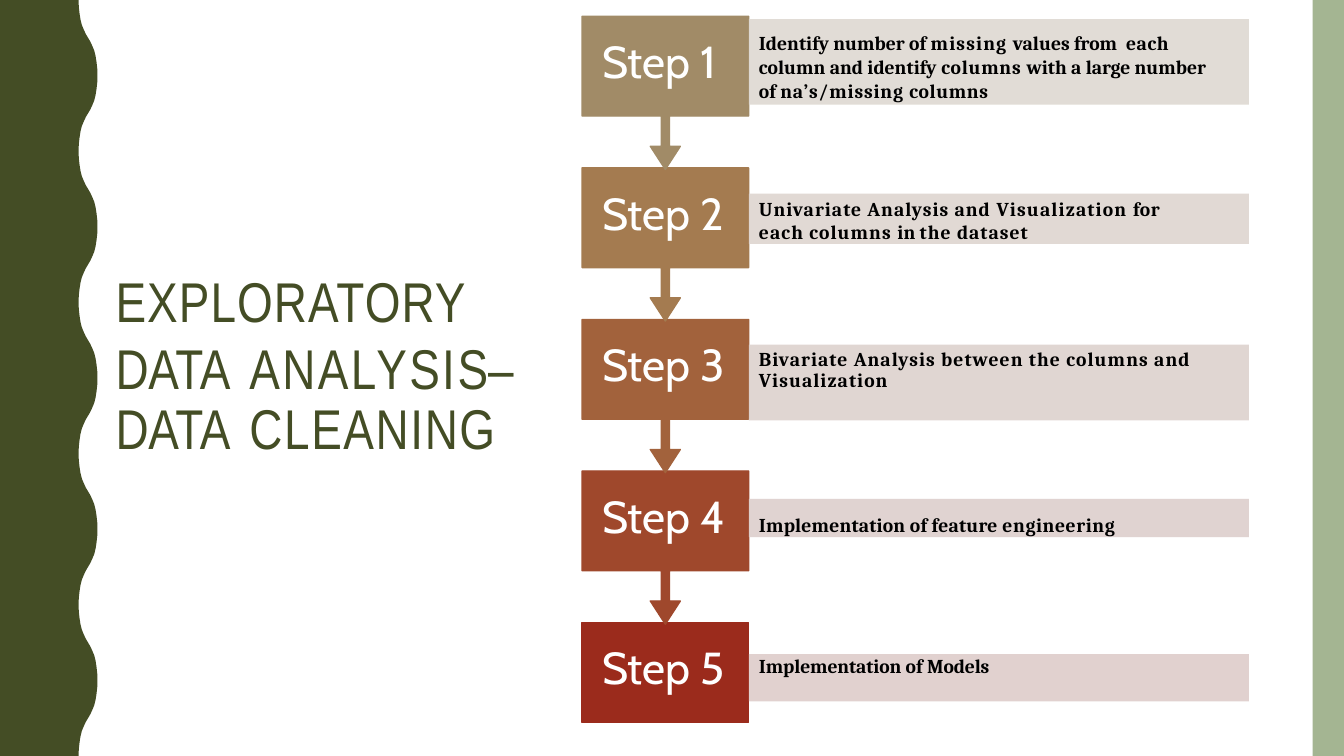
from dataclasses import dataclass

from lxml import etree
from pptx import Presentation
from pptx import util as u
from pptx.dml.color import RGBColor
from pptx.enum import shapes, text
from pptx.oxml import ns


@dataclass(frozen=True)
class Theme:
    olive: str = "444D25"
    sage: str = "A4B592"
    white: str = "FFFFFF"
    black: str = "000000"
    title_font: str = "Arial Narrow"
    label_font: str = "Cabin"
    body_font: str = "Cambria"
    title_size: int = 40
    label_size: int = 32
    body_size: int = 14
    outline: float = 0.96
    panel_alpha: int = 90


@dataclass(frozen=True)
class Area:
    left: float
    top: float
    width: float
    height: float

    def place(self) -> tuple:
        return across(self.left), down(self.top), across(self.width), down(self.height)


@dataclass(frozen=True)
class Span:
    words: str
    spacing: float = 0


@dataclass(frozen=True)
class Step:
    color: str
    panel_color: str
    panel_top: float
    panel_height: float
    text_top: float
    line_spacing: float | u.Pt
    paragraphs: tuple
    text_right: float = 0


THEME = Theme()
WIDTH, HEIGHT = u.Inches(13.33), u.Inches(7.5)
STEP_LEFT, STEP_TOP, STEP_PITCH = 43.31, 2.15, 20.05
STEP_WIDTH, STEP_HEIGHT = 12.39, 13.2
PANEL_LEFT, PANEL_WIDTH = 55.72, 37.2
WAVE_LEFT, WAVE_DEPTH, WAVE_COUNT = 5.85, 1.4, 5
HALF_WAVE = (
    (0, 0), (0.01, 0.09), (0.05, 0.18), (0.1, 0.26), (0.17, 0.33),
    (0.27, 0.39), (0.38, 0.45), (0.62, 0.55), (0.73, 0.61), (0.83, 0.67),
    (0.9, 0.74), (0.95, 0.82), (0.99, 0.91), (1, 1),
)

TITLE = (
    (Span("EXPLORATORY", 0.8),),
    (Span("DATA", -0.2), Span(" ", 4.5), Span("ANA", 1.7), Span("L", -3.5),
     Span("YSI", 1.7), Span("S", -0.2), Span("– ", -0.5),
     Span("DATA", -0.2), Span(" ", 4.5), Span("CLEANING", 1.2)),
)
STEPS = (
    Step("A18B67", "DED9D2", 2.53, 11.33, 1.6, 1.01, (
        (Span("Identify number of "), Span("missing ", 0.8), Span("values from  "),
         Span("each ", 0.4), Span("column and identify "), Span("columns ", 0.5),
         Span("with a "), Span("large ", -0.1), Span("number of "),
         Span("na’s/missing ", 0.6), Span("columns", 0.4)),), 3),
    Step("A47B50", "DED5D0", 25.6, 6.67, 0.67, u.Pt(15.9), (
        (Span("Univariate Analysis and ", 0.7), Span("Visualization ", 0.8), Span("for", 0.3)),
        (Span("each columns ", 0.75), Span("in "), Span("the dataset", 0.7)))),
    Step("A2623C", "DDD2CE", 45.6, 10, 0.67, u.Pt(15), (
        (Span("Bivariate Analysis between the columns and Visualization", 0.73),),)),
    Step("9F482C", "DDCFCC", 66, 5.07, 1.87, 1.0, (
        (Span("Implementation of feature ", 0.1), Span("engineering", 0.4)),)),
    Step("9B2B1C", "DECCCA", 86.53, 6.27, 0, u.Pt(16.8), (
        (Span("Implementation", -0.1), Span(" of "), Span("Models", -0.1)),)),
)


def across(percent: float) -> int:
    return round(WIDTH * percent / 100)


def down(percent: float) -> int:
    return round(HEIGHT * percent / 100)


def paint(shape, color: str, outlined: bool = False, alpha: int = 100) -> None:
    shape.shadow.inherit = False
    shape.fill.solid()
    shape.fill.fore_color.rgb = RGBColor.from_string(color)
    if outlined:
        shape.line.color.rgb = RGBColor.from_string(color)
        shape.line.width = u.Pt(THEME.outline)
    else:
        shape.line.fill.background()
    if alpha < 100:
        fill_color = shape.fill._xPr.find(".//" + ns.qn("a:srgbClr"))
        etree.SubElement(fill_color, ns.qn("a:alpha")).set("val", str(alpha * 1000))


def write(shape, paragraphs: tuple, *, font: str, size: int, color: str,
          bold: bool = False, left: float = 0, top: float = 0, right: float = 0,
          spacings: tuple = (1.0,), gap: float = 0) -> None:
    frame = shape.text_frame
    frame.word_wrap = True
    frame.auto_size = text.MSO_AUTO_SIZE.NONE
    frame.vertical_anchor = text.MSO_ANCHOR.TOP
    frame.margin_left, frame.margin_right = across(left), across(right)
    frame.margin_top, frame.margin_bottom = down(top), 0
    for index, spans in enumerate(paragraphs):
        para = frame.add_paragraph() if index else frame.paragraphs[0]
        para.alignment = text.PP_ALIGN.LEFT
        para.line_spacing = spacings[min(index, len(spacings) - 1)]
        para.space_before = u.Pt(gap if index else 0)
        for span in spans:
            run = para.add_run()
            run.text = span.words
            run.font.name = font
            run.font.size = u.Pt(size)
            run.font.bold = bold
            run.font.color.rgb = RGBColor.from_string(color)
            run._r.get_or_add_rPr().set("spc", str(round(span.spacing * 100)))


def add_box(page, area: Area):
    return page.shapes.add_shape(shapes.MSO_SHAPE.RECTANGLE, *area.place())


def add_outline(page, points: list):
    corners = [(across(x), down(y)) for x, y in points]
    builder = page.shapes.build_freeform(*corners[0], scale=1.0)
    builder.add_line_segments(corners[1:], close=True)
    return builder.convert_to_shape()


def add_wave(page) -> None:
    wave = HALF_WAVE + tuple((depth, 2 - row) for depth, row in HALF_WAVE[-2::-1])
    pitch = 100 / WAVE_COUNT
    edge = [(WAVE_LEFT + WAVE_DEPTH * depth, pitch * (number + row / 2))
            for number in range(WAVE_COUNT) for depth, row in wave]
    paint(add_outline(page, [(0, 0), *edge, (0, 100)]), THEME.olive)


def add_arrow_box(page, top: float):
    right, bottom = STEP_LEFT + STEP_WIDTH, top + STEP_HEIGHT
    middle, neck, tip = STEP_LEFT + STEP_WIDTH / 2, top + 17.2, top + 20.27
    stem, head = 0.3, 1.12
    return add_outline(page, [
        (STEP_LEFT, top), (right, top), (right, bottom),
        (middle + stem, bottom), (middle + stem, neck), (middle + head, neck),
        (middle, tip),
        (middle - head, neck), (middle - stem, neck), (middle - stem, bottom),
        (STEP_LEFT, bottom)])


def add_step(page, number: int, step: Step) -> None:
    top = STEP_TOP + STEP_PITCH * (number - 1)
    if number < len(STEPS):
        box = add_arrow_box(page, top)
    else:
        box = add_box(page, Area(STEP_LEFT, top, STEP_WIDTH, STEP_HEIGHT))
    paint(box, step.color, outlined=True)
    write(box, ((Span(f"Step {number}"),),), font=THEME.label_font,
          size=THEME.label_size, color=THEME.white, left=1.5, top=2.3)
    panel = add_box(page, Area(PANEL_LEFT, step.panel_top, PANEL_WIDTH, step.panel_height))
    paint(panel, step.panel_color, alpha=THEME.panel_alpha)
    write(panel, step.paragraphs, font=THEME.body_font, size=THEME.body_size,
          color=THEME.black, bold=True, left=0.75, top=step.text_top,
          right=step.text_right, spacings=(step.line_spacing,))


def add_title(page) -> None:
    title = page.shapes.title
    title.left, title.top, title.width, title.height = Area(8.6, 35.33, 30.8, 25.73).place()
    write(title, TITLE, font=THEME.title_font, size=THEME.title_size,
          color=THEME.olive, top=0.13, spacings=(u.Pt(47), u.Pt(43.1)), gap=4.5)


def main() -> None:
    deck = Presentation()
    deck.slide_width, deck.slide_height = WIDTH, HEIGHT
    page = deck.slides.add_slide(deck.slide_layouts[5])
    add_wave(page)
    paint(add_box(page, Area(97.67, 0, 2.33, 100)), THEME.sage)
    add_title(page)
    for number, step in reversed(list(enumerate(STEPS, 1))):
        add_step(page, number, step)
    deck.save("out.pptx")


if __name__ == "__main__":
    main()
